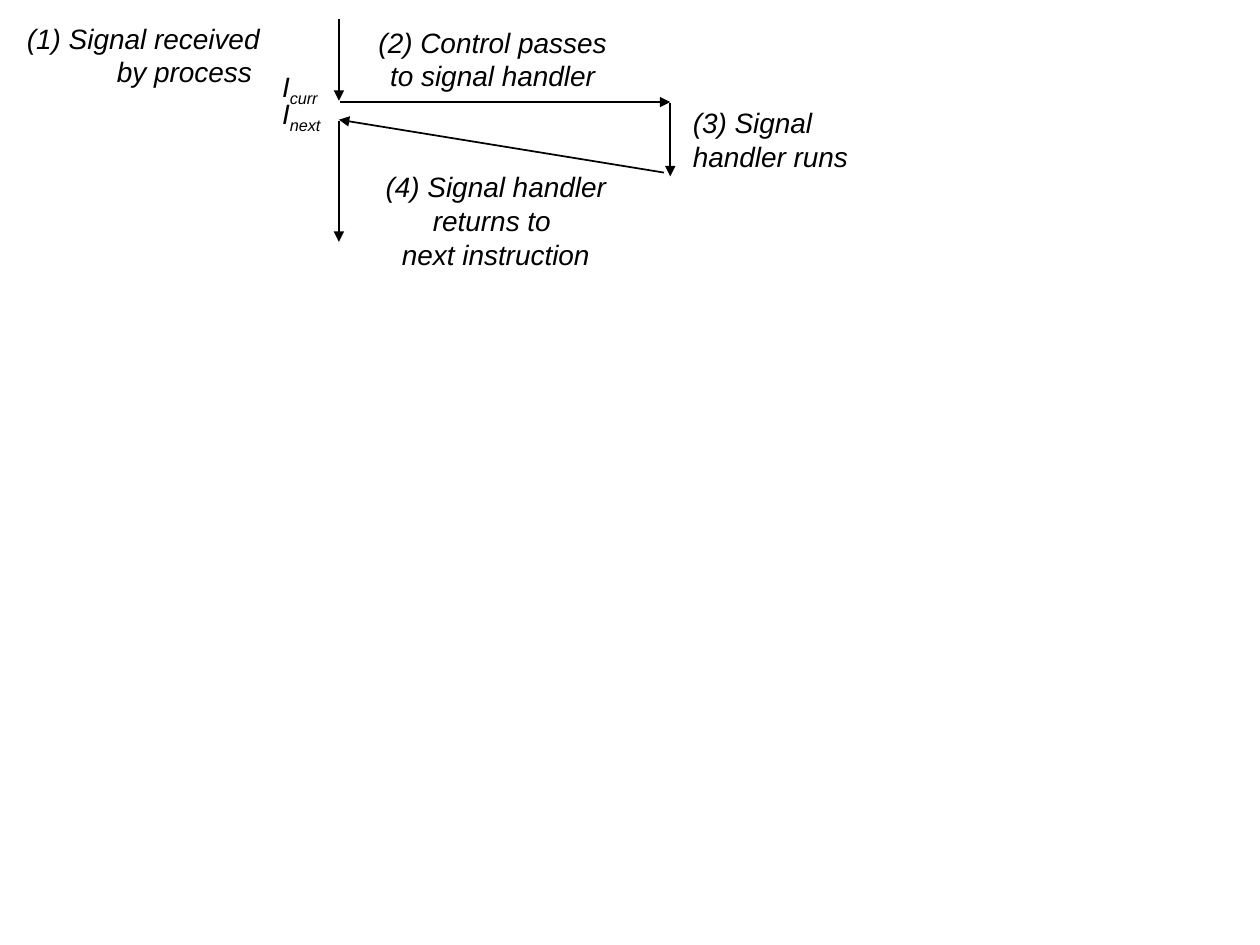
from typing import NamedTuple

from lxml import etree
from pptx import Presentation
from pptx.dml.color import RGBColor
from pptx.enum.shapes import MSO_CONNECTOR
from pptx.enum.text import MSO_AUTO_SIZE, PP_ALIGN
from pptx.oxml.ns import qn
from pptx.util import Inches, Pt

LEFT, CENTER, RIGHT = PP_ALIGN.LEFT, PP_ALIGN.CENTER, PP_ALIGN.RIGHT
STRAIGHT = MSO_CONNECTOR.STRAIGHT
GROW = MSO_AUTO_SIZE.SHAPE_TO_FIT_TEXT

COLUMNS, ROWS = 100, 75
CELL = Inches(10) // COLUMNS
BLACK = "000000"
FONT_NAME = "Arial"

PROCESS = 26.9  # column of the process's line of control
HANDLER = 53.2  # column of the handler's line of control


class Arrow(NamedTuple):
    start: tuple[float, float]
    end: tuple[float, float]


class Label(NamedTuple):
    column: float
    row: float
    width: float
    height: float
    lines: list[str]
    alignment: PP_ALIGN = LEFT
    wrap: bool = False
    subscript: str = ""


ARROWS = [
    Arrow((PROCESS, 1.5), (PROCESS, 8)),
    Arrow((PROCESS + 0.1, 8.1), (HANDLER, 8.1)),
    Arrow((HANDLER, 8.2), (HANDLER, 14)),
    Arrow((HANDLER - 0.5, 13.7), (PROCESS, 9.5)),
    Arrow((PROCESS, 9.6), (PROCESS, 19.2)),
]

LABELS = [
    Label(29, 1.5, 20.8, 6.3, ["(2) Control passes ", "to signal handler "], CENTER),
    Label(54, 7.9, 16.3, 6.3, ["(3) Signal  handler runs"], wrap=True),
    Label(29.6, 13, 19.5, 9,
          ["(4) Signal handler", "returns to ", "next instruction"], CENTER),
    Label(21.4, 5, 5.3, 3.7, ["I"], subscript="curr"),
    Label(21.4, 7.2, 5.5, 3.7, ["I"], subscript="next"),
    Label(0, 1.2, 21.6, 6.3, ["(1) Signal received by process "], RIGHT, wrap=True),
]


def grid(*cells: float) -> list[int]:
    return [round(cell * CELL) for cell in cells]


def color(value: str) -> RGBColor:
    return RGBColor.from_string(value)


def draw_arrow(slide, arrow: Arrow) -> None:
    connector = slide.shapes.add_connector(STRAIGHT, *grid(*arrow.start, *arrow.end))
    connector.line.width = Pt(1)
    connector.line.color.rgb = color(BLACK)
    line = connector.line._get_or_add_ln()
    etree.SubElement(line, qn("a:tailEnd"), type="triangle")
    etree.SubElement(connector._element.spPr, qn("a:effectLst"))


def add_text(paragraph, text: str, *, size: float = 16, baseline: int = 0) -> None:
    """Append an italic run; baseline is its shift in percent."""
    run = paragraph.add_run()
    run.text = text
    run.font.name = FONT_NAME
    run.font.size = Pt(size)
    run.font.italic = True
    run.font.color.rgb = color(BLACK)
    if baseline:
        run._r.get_or_add_rPr().set("baseline", str(baseline * 1000))


def draw_label(slide, label: Label) -> None:
    box = slide.shapes.add_textbox(
        *grid(label.column, label.row, label.width, label.height))
    frame = box.text_frame
    frame.word_wrap = label.wrap
    frame.auto_size = GROW
    for index, line in enumerate(label.lines):
        paragraph = frame.add_paragraph() if index else frame.paragraphs[0]
        paragraph.alignment = label.alignment
        add_text(paragraph, line)
    if label.subscript:
        add_text(paragraph, label.subscript, baseline=-25)


def main() -> None:
    presentation = Presentation()
    presentation.slide_width, presentation.slide_height = grid(COLUMNS, ROWS)
    slide = presentation.slides.add_slide(presentation.slide_layouts[6])
    for arrow in ARROWS:
        draw_arrow(slide, arrow)
    for label in LABELS:
        draw_label(slide, label)
    presentation.save("out.pptx")


if __name__ == "__main__":
    main()
